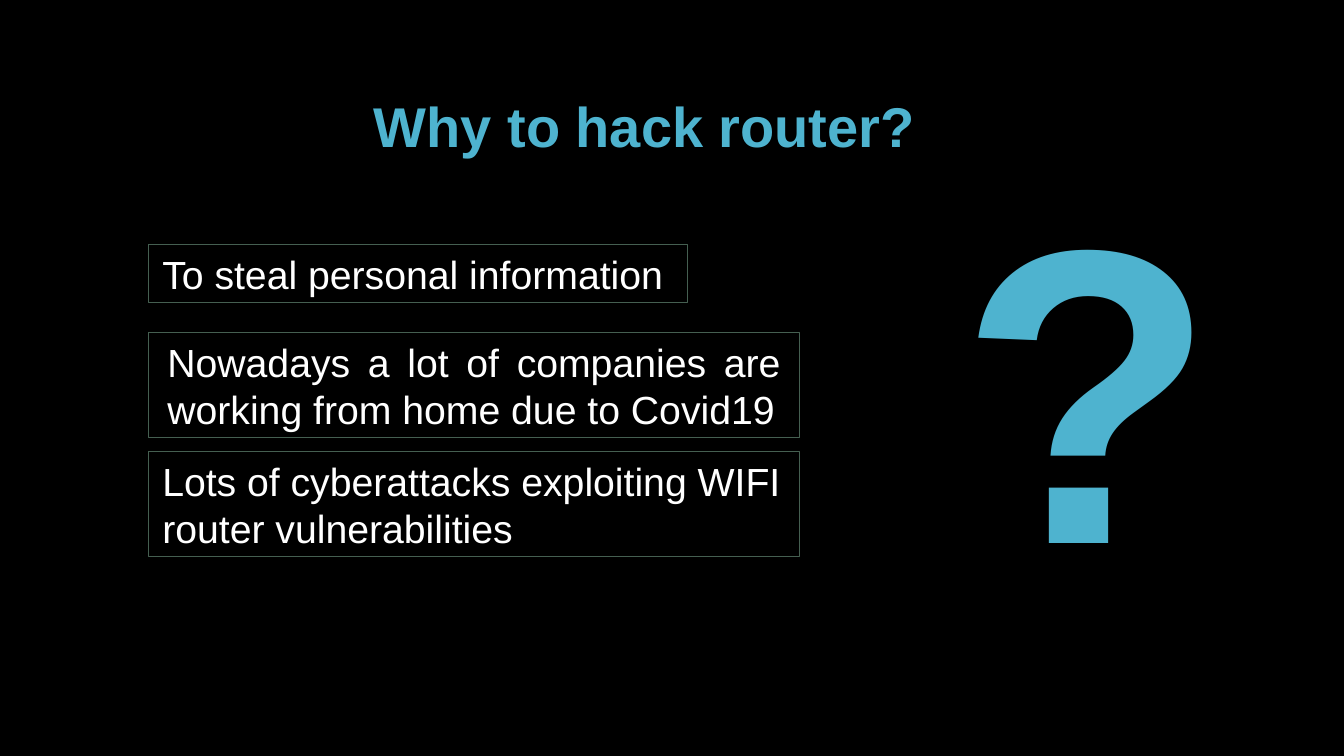
from pptx import Presentation
from pptx.dml.color import RGBColor
from pptx.enum import shapes, text
from pptx.util import Inches, Pt

COLORS = {"background": "000000", "accent": "4EB3CF", "body": "FFFFFF", "border": "455F51"}
ALIGN = text.PP_ALIGN
ANCHOR = text.MSO_ANCHOR

TITLE = ("Why to hack router?", (1.39, 0.13, 10, 1.5))
MARK = ("?", (9.42, 1.18, 2.35, 5.15))
REASONS_LEFT = 1.47
# Text, top, width, height, alignment, left and right insets
REASONS = [
    ("To steal personal information", 2.43, 5.35, 0.57, ALIGN.LEFT, 0.14, 0.1),
    ("Nowadays a lot of companies are working from home due to Covid19",
     3.3, 6.46, 1.04, ALIGN.JUSTIFY, 0.19, 0.19),
    ("Lots of cyberattacks exploiting WIFI router vulnerabilities",
     4.48, 6.46, 1.04, ALIGN.LEFT, 0.14, 0.1),
]
HEADING_FONT = {"name": "Arial", "size": Pt(40), "bold": True}
MARK_FONT = {**HEADING_FONT, "size": Pt(300)}
BODY_FONT = {"name": "Arial", "size": Pt(28), "bold": False}


def color(name):
    return RGBColor.from_string(COLORS[name])


def write(sp, words, font, color_name, align, **frame):
    tf = sp.text_frame
    for key, value in {"word_wrap": True, **frame}.items():
        setattr(tf, key, value)
    p = tf.paragraphs[0]
    p.alignment = align
    r = p.add_run()
    r.text = words
    for key, value in font.items():
        setattr(r.font, key, value)
    r.font.color.rgb = color(color_name)
    return p


prs = Presentation()
prs.slide_width, prs.slide_height = Inches(13.33), Inches(7.5)
s = prs.slides.add_slide(prs.slide_layouts[5])
s.background.fill.solid()
s.background.fill.fore_color.rgb = color("background")

# Title
words, box = TITLE
title = s.shapes.title
title.left, title.top, title.width, title.height = map(Inches, box)
p = write(title, words, HEADING_FONT, "accent", ALIGN.CENTER,
          vertical_anchor=ANCHOR.BOTTOM, auto_size=text.MSO_AUTO_SIZE.NONE)
p.line_spacing = 0.9

# Outlined reasons
for words, top, width, height, align, left_inset, right_inset in REASONS:
    sp = s.shapes.add_shape(shapes.MSO_SHAPE.RECTANGLE,
                            *map(Inches, (REASONS_LEFT, top, width, height)))
    sp.shadow.inherit = False
    sp.fill.background()
    sp.line.color.rgb = color("border")
    sp.line.width = Pt(0.75)
    write(sp, words, BODY_FONT, "body", align, vertical_anchor=ANCHOR.MIDDLE,
          auto_size=text.MSO_AUTO_SIZE.SHAPE_TO_FIT_TEXT,
          margin_left=Inches(left_inset), margin_right=Inches(right_inset))

# Large question mark
words, box = MARK
write(s.shapes.add_textbox(*map(Inches, box)), words, MARK_FONT, "accent", ALIGN.CENTER,
      auto_size=text.MSO_AUTO_SIZE.SHAPE_TO_FIT_TEXT)

prs.save("out.pptx")
